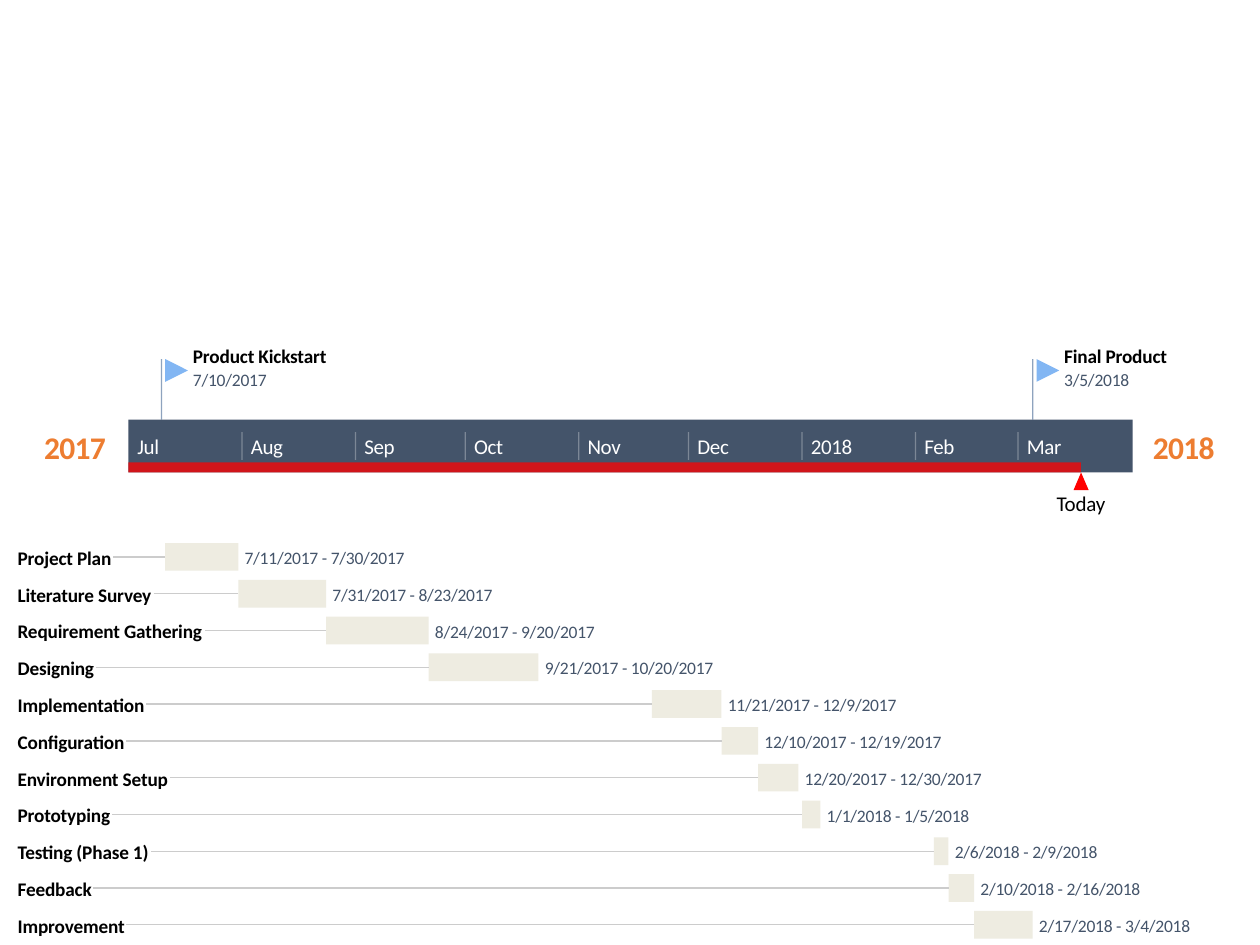
"""Build a project timeline slide with milestones and a task schedule."""
from typing import Any, NamedTuple

from lxml import etree
from pptx import Presentation
from pptx import util as u
from pptx.dml.color import RGBColor
from pptx.enum import shapes, text
from pptx.oxml import ns

NAVY = RGBColor(0x44, 0x54, 0x6A)
ORANGE = RGBColor(0xED, 0x7D, 0x31)
RED = RGBColor(0xFF, 0x00, 0x00)
BLUE = RGBColor(0x82, 0xB6, 0xF3)
POLE = RGBColor(0x1F, 0x49, 0x7E)
BEIGE = RGBColor(0xEE, 0xEC, 0xE1)
GRAY = RGBColor(0xCC, 0xCC, 0xCC)
BLACK = RGBColor(0, 0, 0)
WHITE = RGBColor(0xFF, 0xFF, 0xFF)

MONTH_DAYS = {7: 0, 8: 31, 9: 62, 10: 92, 11: 123, 12: 153, 1: 184, 2: 215, 3: 243}
MONTH_NAMES = ["Jul", "Aug", "Sep", "Oct", "Nov", "Dec", "2018", "Feb", "Mar"]
BAND_LEFT, BAND_TOP, BAND_WIDTH, BAND_HEIGHT = 1.02, 3.33, 7.97, 0.42
DAY_WIDTH = 7.06 / 243
TODAY = 8.58
TASK_TOP, TASK_HEIGHT = 4.31, 0.22
TASK_PITCH = 2.92 / 10
NAME_LEFT = 0.14


class Milestone(NamedTuple):
    name: str
    date: str


class Task(NamedTuple):
    name: str
    start: str
    end: str
    leader: float


MILESTONES = [Milestone("Product Kickstart", "7/10/2017"), Milestone("Final Product", "3/5/2018")]
TASKS = [
    Task("Project Plan", "7/11/2017", "7/30/2017", 0.9),
    Task("Literature Survey", "7/31/2017", "8/23/2017", 1.22),
    Task("Requirement Gathering", "8/24/2017", "9/20/2017", 1.63),
    Task("Designing", "9/21/2017", "10/20/2017", 0.76),
    Task("Implementation", "11/21/2017", "12/9/2017", 1.16),
    Task("Configuration", "12/10/2017", "12/19/2017", 1),
    Task("Environment Setup", "12/20/2017", "12/30/2017", 1.35),
    Task("Prototyping", "1/1/2018", "1/5/2018", 0.89),
    Task("Testing (Phase 1)", "2/6/2018", "2/9/2018", 1.2),
    Task("Feedback", "2/10/2018", "2/16/2018", 0.74),
    Task("Improvement", "2/17/2018", "3/4/2018", 1),
]


def date_x(date: str, days_after: int = 0) -> float:
    month, day, _ = map(int, date.split("/"))
    return BAND_LEFT + (MONTH_DAYS[month] + day - 1 + days_after) * DAY_WIDTH


def set_opacity(element: Any, percent: int) -> None:
    color = next(element.iter(ns.qn("a:srgbClr")))
    etree.SubElement(color, ns.qn("a:alpha")).set("val", str(percent * 1000))


def add_block(page: Any, left: float, top: float, width: float, height: float, color: RGBColor,
              kind: Any = shapes.MSO_SHAPE.RECTANGLE, opacity: int = 100, rotation: int = 0) -> None:
    block = page.shapes.add_shape(kind, *map(u.Inches, (left, top, width, height)))
    block.shadow.inherit = False
    block.fill.solid()
    block.fill.fore_color.rgb = color
    block.line.fill.background()
    block.rotation = rotation
    if opacity < 100:
        set_opacity(block.element, opacity)


def add_rule(page: Any, x1: float, y1: float, x2: float, y2: float, color: RGBColor,
             opacity: int = 100) -> None:
    rule = page.shapes.add_connector(shapes.MSO_CONNECTOR.STRAIGHT, *map(u.Inches, (x1, y1, x2, y2)))
    rule.line.color.rgb = color
    rule.line.width = u.Pt(0.75)
    if opacity < 100:
        set_opacity(rule.element, opacity)
    etree.SubElement(rule.element.spPr, ns.qn("a:effectLst"))


def add_label(page: Any, words: str, left: float, top: float, width: float, height: float, *,
              size: int = 10, color: RGBColor = NAVY, bold: bool = False,
              align: Any = text.PP_ALIGN.LEFT, spacing: int = -10) -> None:
    box = page.shapes.add_textbox(*map(u.Inches, (left, top, width, height)))
    frame = box.text_frame
    frame.word_wrap = False
    frame.vertical_anchor = text.MSO_ANCHOR.MIDDLE
    frame.margin_left = frame.margin_right = frame.margin_top = frame.margin_bottom = 0
    para = frame.paragraphs[0]
    para.alignment = align
    span = para.add_run()
    span.text = words
    span.font.name = "Calibri"
    span.font.size = u.Pt(size)
    span.font.bold = bold
    span.font.color.rgb = color
    span.font._element.set("spc", str(spacing))


def add_name(page: Any, words: str, left: float, top: float) -> None:
    add_label(page, words, left, top, 1.5, 0.19, size=11, color=BLACK, bold=True)


def add_band(page: Any) -> None:
    center = text.PP_ALIGN.CENTER
    for year, left in (("2017", 0.35), ("2018", 9.15)):
        add_label(page, year, left, 3.39, 0.49, 0.31, size=18, color=ORANGE, bold=True,
                  align=center, spacing=-40)
    add_block(page, BAND_LEFT, BAND_TOP, BAND_WIDTH, BAND_HEIGHT, NAVY)
    add_block(page, BAND_LEFT, 3.67, TODAY - BAND_LEFT, 0.08, RED, opacity=75)
    add_block(page, TODAY - 0.06, 3.75, 0.12, 0.14, RED, shapes.MSO_SHAPE.ISOSCELES_TRIANGLE)
    add_label(page, "Today", TODAY - 0.2, 3.89, 0.4, 0.2, size=12, color=BLACK, align=center)
    for name, days in zip(MONTH_NAMES, MONTH_DAYS.values()):
        left = BAND_LEFT + days * DAY_WIDTH
        if days:
            add_rule(page, left, 3.43, left, 3.65, WHITE, opacity=30)
        add_label(page, name, left + 0.07, 3.44, 0.33, 0.2, size=12, color=WHITE, spacing=-20)


def add_milestone(page: Any, milestone: Milestone) -> None:
    left = date_x(milestone.date)
    add_rule(page, left, 2.85, left, BAND_TOP, POLE, opacity=50)
    add_block(page, left + 0.03, 2.85, 0.18, 0.18, BLUE,
              shapes.MSO_SHAPE.FLOWCHART_MERGE, rotation=270)
    add_name(page, milestone.name, left + 0.25, 2.73)
    add_label(page, milestone.date, left + 0.25, 2.93, 0.61, 0.17)


def add_task(page: Any, task: Task, top: float) -> None:
    left, right = date_x(task.start), date_x(task.end, days_after=1)
    add_block(page, left, top, right - left, TASK_HEIGHT, BEIGE)
    add_rule(page, task.leader, top + 0.11, left, top + 0.11, GRAY)
    add_label(page, f"{task.start} - {task.end}", right + 0.05, top + 0.03, 1.46, 0.17)
    add_name(page, task.name, NAME_LEFT, top + 0.02)


def main() -> None:
    deck = Presentation()
    deck.slide_width, deck.slide_height = u.Inches(10), u.Inches(7.5)
    page = deck.slides.add_slide(deck.slide_layouts[6])
    add_band(page)
    for milestone in MILESTONES:
        add_milestone(page, milestone)
    for row, task in enumerate(TASKS):
        add_task(page, task, TASK_TOP + row * TASK_PITCH)
    deck.save("out.pptx")


main()
